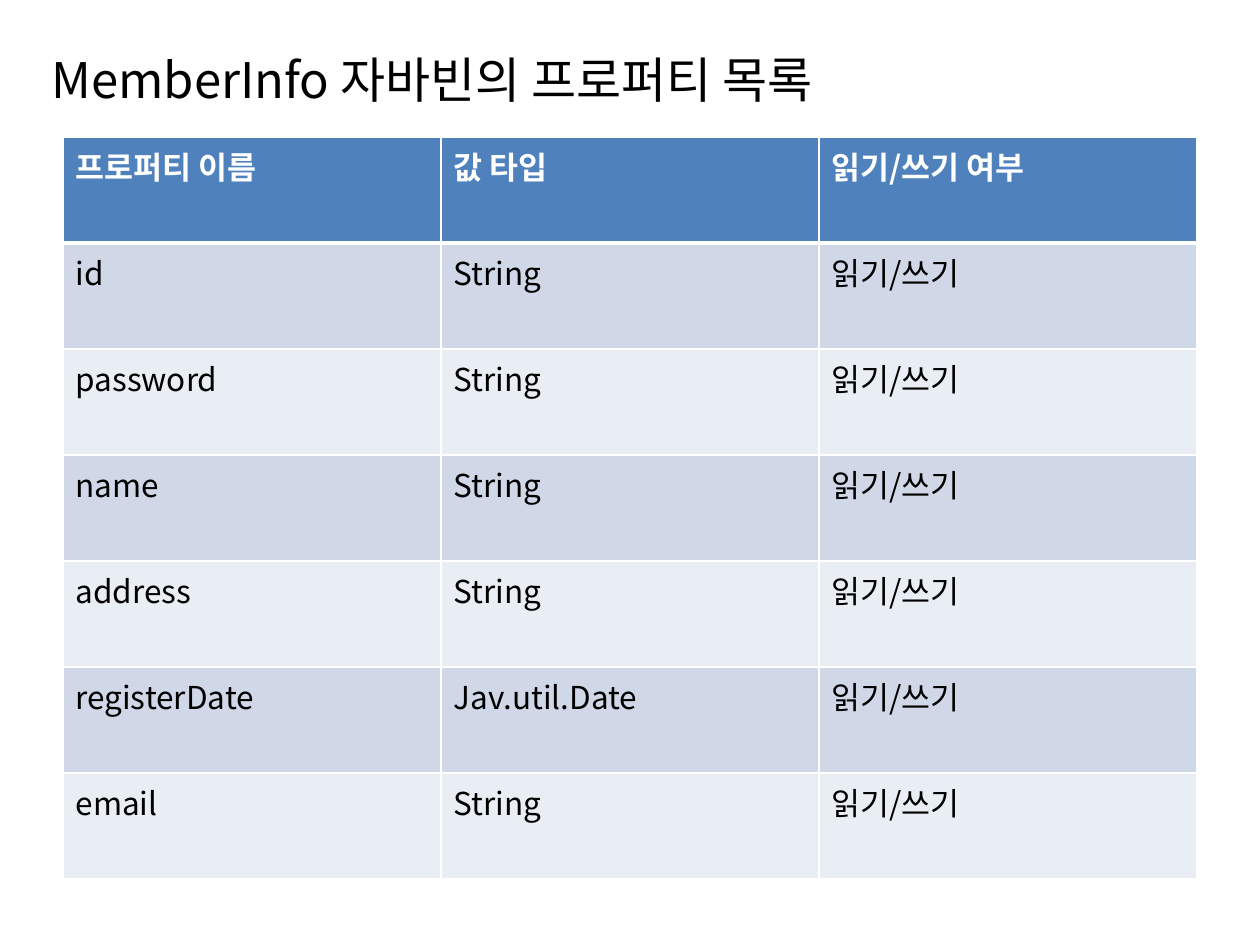
from dataclasses import dataclass

import lxml.etree
import pptx
import pptx.dml.color
import pptx.enum.text
import pptx.oxml.ns
import pptx.util

PIXELS_PER_INCH = 126


@dataclass(frozen=True)
class Theme:
    font: str = "Noto Sans CJK KR"
    text: str = "000000"
    light: str = "FFFFFF"
    header: str = "4F81BD"
    bands: tuple[str, str] = ("D0D8E8", "E9EDF4")
    title_size: int = 28
    table_size: int = 18
    thin_line: int = 1
    thick_line: int = 3


@dataclass(frozen=True)
class Property:
    name: str
    value_type: str = "String"
    access: str = "읽기/쓰기"


THEME = Theme()
TITLE = "MemberInfo 자바빈의 프로퍼티 목록"
HEADER = Property("프로퍼티 이름", "값 타입", "읽기/쓰기 여부")
PROPERTIES = [
    Property("id"),
    Property("password"),
    Property("name"),
    Property("address"),
    Property("registerDate", "Jav.util.Date"),
    Property("email"),
]


def px(length: int) -> pptx.util.Emu:
    return pptx.util.Emu(round(length * 914400 / PIXELS_PER_INCH))


def rgb(color: str) -> pptx.dml.color.RGBColor:
    return pptx.dml.color.RGBColor.from_string(color)


def add_xml(parent, tag: str, **attributes: str):
    return lxml.etree.SubElement(parent, pptx.oxml.ns.qn(tag), **attributes)


def format_text(text_frame, size: int, color: str, bold: bool = False) -> None:
    for paragraph in text_frame.paragraphs:
        for run in paragraph.runs:
            run.font.size = pptx.util.Pt(size)
            run.font.bold = bold
            run.font.color.rgb = rgb(color)
            run.font.name = THEME.font
            add_xml(run.font._element, "a:ea", typeface=THEME.font)


def draw_border(cell, side: str, points: int) -> None:
    properties = cell._tc.get_or_add_tcPr()
    line = add_xml(properties, f"a:ln{side}", w=str(pptx.util.Pt(points)))
    fill = add_xml(line, "a:solidFill")
    add_xml(fill, "a:srgbClr", val=THEME.light)


def draw_cell(cell, text: str, row: int) -> None:
    is_header = row == 0
    thick_side = {0: "B", 1: "T"}.get(row)
    for side in "LRTB":
        draw_border(cell, side, THEME.thick_line if side == thick_side else THEME.thin_line)
    cell.fill.solid()
    cell.fill.fore_color.rgb = rgb(THEME.header if is_header else THEME.bands[(row - 1) % 2])
    cell.text_frame.text = text
    format_text(cell.text_frame, THEME.table_size, THEME.light if is_header else THEME.text, is_header)


def draw_title(slide) -> None:
    title = slide.shapes.title
    title.left, title.top, title.width, title.height = px(39), px(38), px(1191), px(81)
    title.text_frame.text = TITLE
    title.text_frame.vertical_anchor = pptx.enum.text.MSO_ANCHOR.MIDDLE
    title.text_frame.paragraphs[0].alignment = pptx.enum.text.PP_ALIGN.LEFT
    format_text(title.text_frame, THEME.title_size, THEME.text)


def draw_table(slide, records: list[Property]) -> None:
    column_width, row_height = 378, 106
    table = slide.shapes.add_table(
        len(records), 3, px(63), px(137), px(column_width * 3), px(row_height * len(records))
    ).table
    for column in table.columns:
        column.width = px(column_width)
    for row, record in enumerate(records):
        table.rows[row].height = px(row_height)
        for column, text in enumerate((record.name, record.value_type, record.access)):
            draw_cell(table.cell(row, column), text, row)


def main() -> None:
    presentation = pptx.Presentation()
    presentation.slide_width, presentation.slide_height = px(1260), px(945)
    slide = presentation.slides.add_slide(presentation.slide_layouts[5])
    draw_title(slide)
    draw_table(slide, [HEADER, *PROPERTIES])
    presentation.save("out.pptx")


if __name__ == "__main__":
    main()
